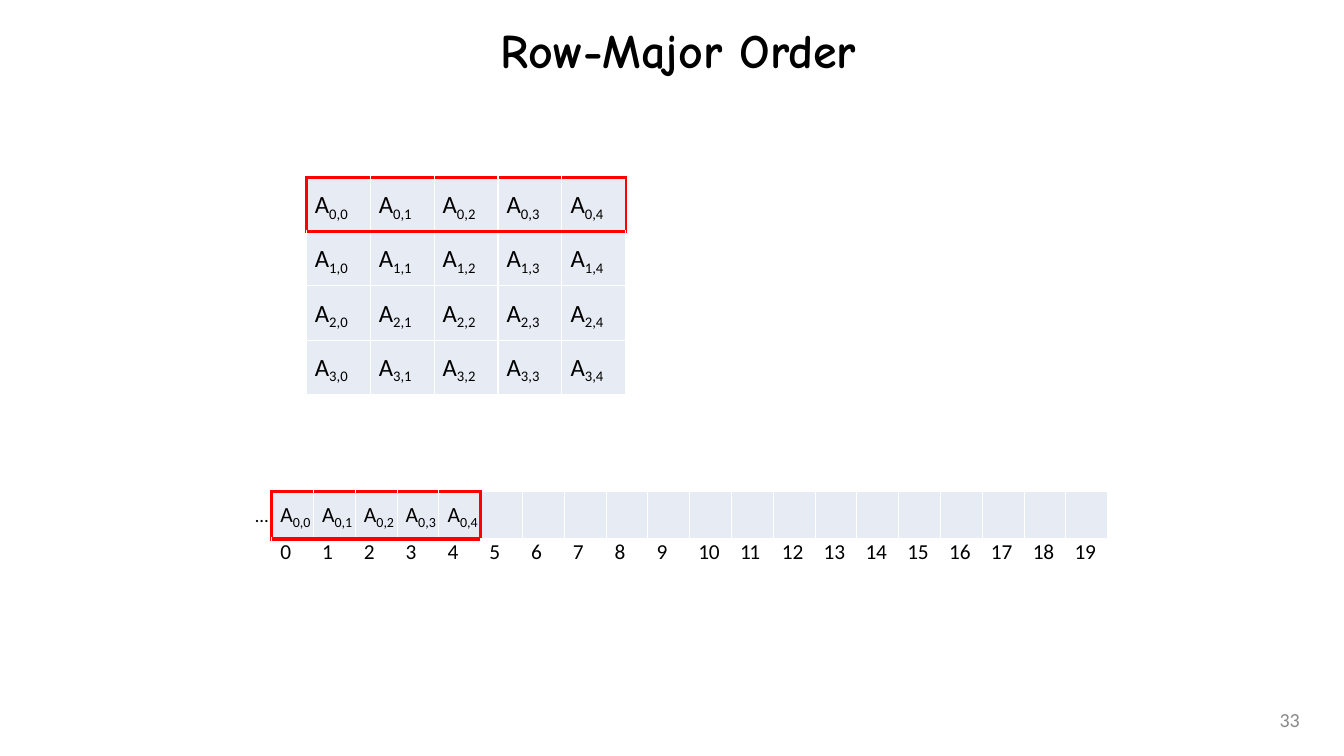
from pptx import Presentation
from pptx.dml.color import RGBColor
from pptx.enum.text import MSO_ANCHOR, PP_ALIGN
from pptx.oxml import parse_xml
from pptx.oxml.ns import nsdecls
from pptx.util import Inches, Pt

BLACK = RGBColor(0x00, 0x00, 0x00)
WHITE = RGBColor(0xFF, 0xFF, 0xFF)
RED = RGBColor(0xFF, 0x00, 0x00)
GRAY = RGBColor(0x89, 0x89, 0x89)
CELL_BLUE = RGBColor(0xE7, 0xEB, 0xF3)
BODY_FONT = "Calibri"
TITLE_FONT = "Comic Neue"
ROWS, COLUMNS, MEMORY_CELLS = 4, 5, 20


def format_font(font, size, color=BLACK, name=BODY_FONT, bold=False):
    font.name = name
    font.size = Pt(size)
    font.bold = bold
    font.color.rgb = color


def set_insets(frame, horizontal=0, vertical=0):
    frame.margin_left = frame.margin_right = Inches(horizontal)
    frame.margin_top = frame.margin_bottom = Inches(vertical)


def add_run(paragraph, text, size, **attributes):
    run = paragraph.add_run()
    run.text = text
    format_font(run.font, size)
    for name, value in attributes.items():
        run.font._element.set(name, str(value))


def set_border(cell, edge, color, width):
    cell._tc.get_or_add_tcPr().append(parse_xml(
        f'<a:ln{edge} {nsdecls("a")} w="{Pt(width)}"><a:solidFill>'
        f'<a:srgbClr val="{color}"/></a:solidFill></a:ln{edge}>'))


def outline_cell(cell, row, column, top_width, bottom_width):
    in_columns = column < COLUMNS
    in_first_row = row == 0
    red_edges = {
        "L": (in_first_row and column in (0, COLUMNS), 2.25),
        "R": (in_first_row and column == COLUMNS - 1, 2.25),
        "T": (in_columns and row <= 1, top_width if in_first_row else bottom_width),
        "B": (in_columns and in_first_row, bottom_width),
    }
    for edge, (is_red, width) in red_edges.items():
        set_border(cell, edge, RED if is_red else WHITE, width if is_red else 1)


def indent_paragraph(cell):
    paragraph = cell.text_frame.paragraphs[0]
    paragraph._p.get_or_add_pPr().set("marL", str(Inches(0.09)))
    return paragraph


def write_element(cell, row, column, letter_size, index_size):
    paragraph = indent_paragraph(cell)
    add_run(paragraph, "A", letter_size, baseline=13000)
    add_run(paragraph, str(row), index_size)
    add_run(paragraph, ",", index_size, spc=-10)
    add_run(paragraph, str(column), index_size)


def add_grid(slide, box, rows, columns, top_width, bottom_width):
    left, top, width, height = map(Inches, box)
    table = slide.shapes.add_table(rows, columns, left, top, width, height).table
    table.first_row = table.horz_banding = False
    for row in range(rows):
        for column in range(columns):
            cell = table.cell(row, column)
            set_insets(cell)
            cell.vertical_anchor = MSO_ANCHOR.MIDDLE
            outline_cell(cell, row, column, top_width, bottom_width)
            cell.fill.solid()
            cell.fill.fore_color.rgb = CELL_BLUE
    return table


def add_matrix(slide, box):
    table = add_grid(slide, box, ROWS, COLUMNS, 2.42, 2.42)
    for row in range(ROWS):
        for column in range(COLUMNS):
            write_element(table.cell(row, column), row, column, 32, 11)


def add_memory(slide, box):
    left, top, width, height = box
    add_label(slide, (left - 0.17, top + 0.13, 0.17, 0.24), "…", 14)
    table = add_grid(slide, box, 2, MEMORY_CELLS, 2.69, 3.16)
    for column in range(COLUMNS):
        write_element(table.cell(0, column), 0, column, 28, 10.5)
    for index in range(MEMORY_CELLS):
        cell = table.cell(1, index)
        cell.fill.background()
        cell.vertical_anchor = MSO_ANCHOR.TOP
        spacing = -120 if index == 11 else -10 if index >= 10 else 0
        add_run(indent_paragraph(cell), str(index), 16, spc=spacing)


def add_label(slide, box, text, size, color=BLACK):
    text_frame = slide.shapes.add_textbox(*map(Inches, box)).text_frame
    text_frame.word_wrap = True
    set_insets(text_frame)
    text_frame.text = text
    format_font(text_frame.paragraphs[0].runs[0].font, size, color)
    return text_frame


def add_title(slide, box):
    title = slide.shapes.title
    title.left, title.top, title.width, title.height = map(Inches, box)
    text_frame = title.text_frame
    set_insets(text_frame, 0.12, 0.06)
    text_frame.vertical_anchor = MSO_ANCHOR.MIDDLE
    text_frame.text = "Row-Major Order"
    paragraph = text_frame.paragraphs[0]
    paragraph.alignment = PP_ALIGN.CENTER
    format_font(paragraph.runs[0].font, 36, name=TITLE_FONT, bold=True)


def add_page_number(slide, box):
    text_frame = add_label(slide, box, "33", 15, GRAY)
    set_insets(text_frame, 0.12, 0.06)
    text_frame.vertical_anchor = MSO_ANCHOR.MIDDLE
    text_frame.paragraphs[0].alignment = PP_ALIGN.RIGHT


def main():
    presentation = Presentation()
    presentation.slide_width = Inches(14)
    presentation.slide_height = Inches(7.88)
    slide = presentation.slides.add_slide(presentation.slide_layouts[5])
    add_title(slide, (1.65, 0.08, 10.83, 0.87))
    add_matrix(slide, (3.19, 1.85, 3.33, 2.26))
    add_memory(slide, (2.83, 5.12, 8.71, 0.99))
    add_page_number(slide, (10.39, 7.29, 3.27, 0.42))
    presentation.save("out.pptx")


if __name__ == "__main__":
    main()
